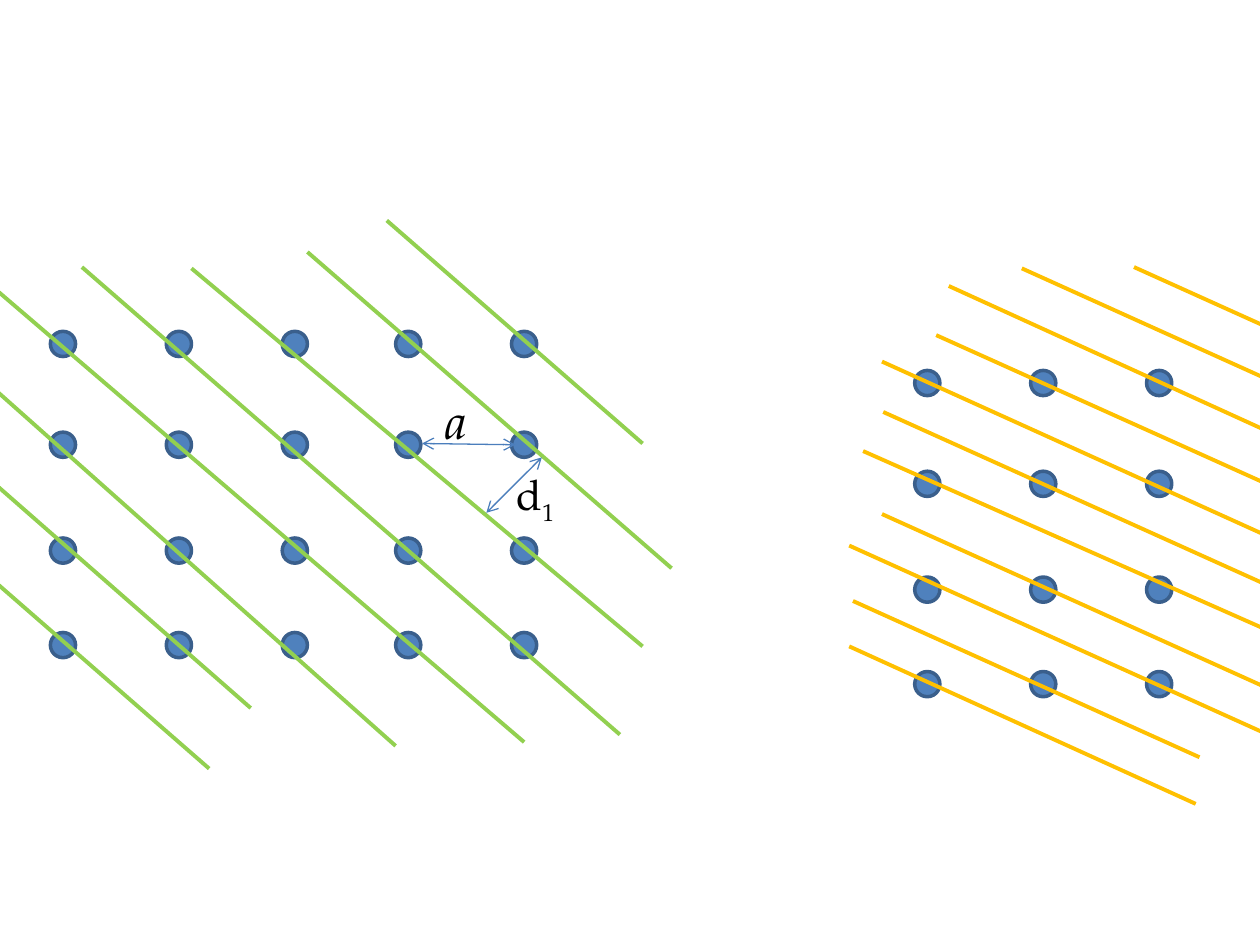
from itertools import product

from lxml import etree
from pptx import Presentation
from pptx.dml.color import RGBColor
from pptx.enum.shapes import MSO_CONNECTOR, MSO_SHAPE
from pptx.enum.text import MSO_AUTO_SIZE
from pptx.oxml.ns import qn
from pptx.util import Pt

PX = 9144  # 100 px to the inch
OVAL = MSO_SHAPE.OVAL
STRAIGHT = MSO_CONNECTOR.STRAIGHT
GROW = MSO_AUTO_SIZE.SHAPE_TO_FIT_TEXT

ATOM_FILL = RGBColor(0x4F, 0x81, 0xBD)
ATOM_EDGE = RGBColor(0x3A, 0x5F, 0x8C)
ARROW = RGBColor(0x4B, 0x7E, 0xBC)
GREEN = RGBColor(0x92, 0xD0, 0x50)
ORANGE = RGBColor(0xFF, 0xC0, 0x00)
BLACK = RGBColor(0, 0, 0)
FONT = "TeX Gyre Pagella"

ATOM = 20
COLUMNS = (0, 92, 184, 274, 366)
ROWS = (0, 80, 164, 239)

# Planes as x1, y1, x2, y2 from the top left atom of their lattice
GREEN_PLANES = (
    (267, -88, 470, 89), (204, -63, 493, 188), (112, -50, 470, 250),
    (25, -51, 452, 320), (-42, -32, 376, 326), (-69, 24, 274, 329),
    (-43, 122, 159, 299), (-77, 170, 126, 347),
)
ORANGE_PLANES = (
    (174, -82, 449, 42), (85, -81, 466, 91), (27, -67, 466, 133),
    (17, -28, 466, 174), (-26, -7, 449, 208), (-25, 33, 432, 239),
    (-41, 64, 449, 281), (-26, 114, 355, 286), (-52, 139, 329, 311),
    (-49, 183, 226, 307), (-52, 219, 223, 344),
)


def add_line(page, origin, ends, color, width):
    left, top = origin
    x1, y1, x2, y2 = ends
    line = page.shapes.add_connector(
        STRAIGHT, (left + x1) * PX, (top + y1) * PX,
        (left + x2) * PX, (top + y2) * PX)
    line.line.color.rgb = color
    line.line.width = Pt(width)
    etree.SubElement(line._element.spPr, qn("a:effectLst"))
    return line


def add_double_arrow(page, origin, ends):
    arrow = add_line(page, origin, ends, ARROW, 0.75)
    outline = arrow.line._get_or_add_ln()
    for end in ("a:headEnd", "a:tailEnd"):
        etree.SubElement(outline, qn(end), type="arrow")


def add_label(page, origin, box, text, size, italic=False, subscript=""):
    left, top, width, height = box
    label = page.shapes.add_textbox(
        (origin[0] + left) * PX, (origin[1] + top) * PX,
        width * PX, height * PX)
    frame = label.text_frame
    frame.word_wrap = False
    frame.auto_size = GROW
    para = frame.paragraphs[0]
    para.font.name = FONT
    para.font.size = Pt(size)
    para.font.italic = italic
    para.font.color.rgb = BLACK
    para.add_run().text = text
    if subscript:
        span = para.add_run()
        span.text = subscript
        span._r.get_or_add_rPr().set("baseline", "-25000")


def add_lattice(page, origin, columns, planes, color):
    left, top = origin
    # Atoms
    for y, x in product(ROWS, columns):
        atom = page.shapes.add_shape(
            OVAL, (left + x) * PX, (top + y) * PX, ATOM * PX, ATOM * PX)
        atom.shadow.inherit = False
        atom.fill.solid()
        atom.fill.fore_color.rgb = ATOM_FILL
        atom.line.color.rgb = ATOM_EDGE
        atom.line.width = Pt(2)
    # Planes through the atoms
    for ends in planes:
        add_line(page, origin, ends, color, 2.25)


def add_spacings(page, origin):
    # Distance between atoms
    add_double_arrow(page, origin, (295, 89, 369, 90))
    add_label(page, origin, (304, 42, 38, 57), "a", 28, italic=True)
    # Distance between planes
    add_double_arrow(page, origin, (390, 100, 346, 144))
    add_label(page, origin, (360, 104, 52, 50), "d", 24, subscript="1")


def main():
    deck = Presentation()
    deck.slide_width = 1000 * PX
    deck.slide_height = 750 * PX
    page = deck.slides.add_slide(deck.slide_layouts[6])

    green_origin = (40, 263)
    add_lattice(page, (726, 294), COLUMNS[:3], ORANGE_PLANES, ORANGE)
    add_lattice(page, green_origin, COLUMNS, GREEN_PLANES, GREEN)
    add_spacings(page, green_origin)

    deck.save("out.pptx")


if __name__ == "__main__":
    main()
